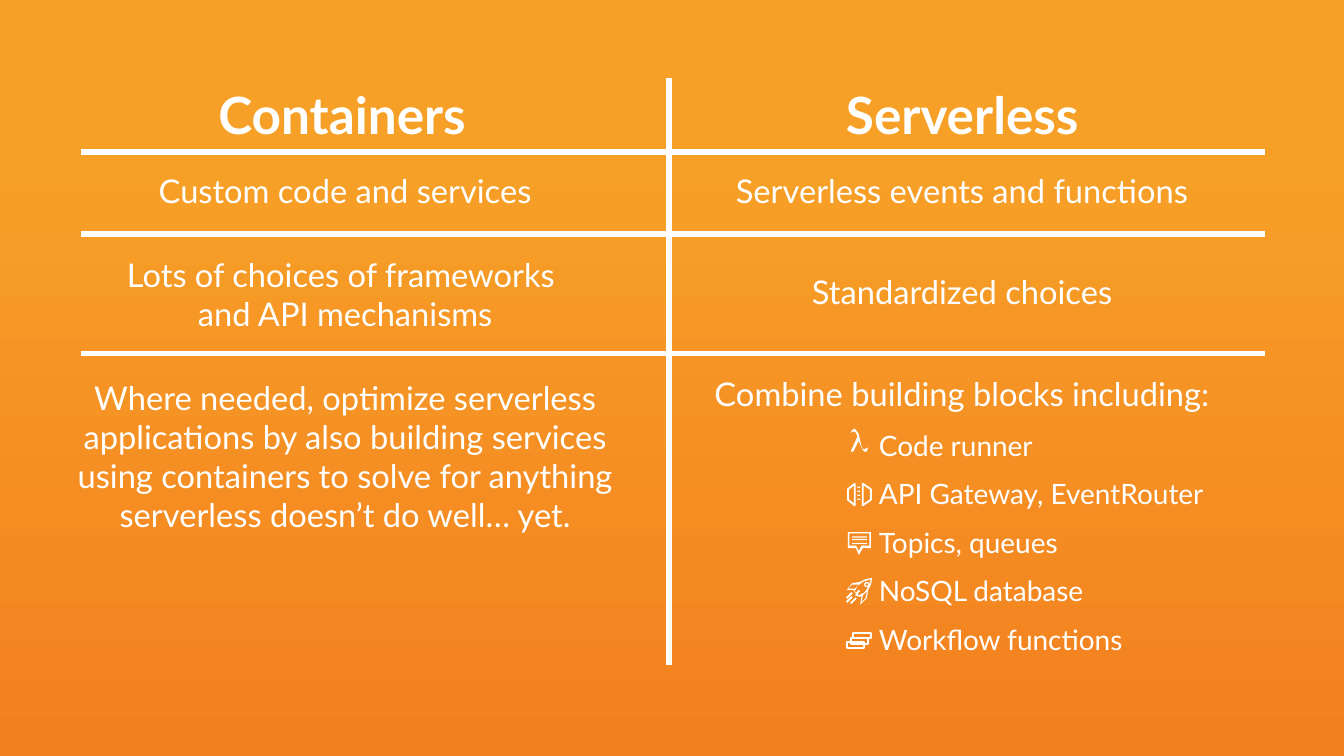
from dataclasses import dataclass

from lxml.etree import SubElement
from pptx import Presentation
from pptx.dml.color import RGBColor
from pptx.enum.shapes import MSO_CONNECTOR as Connector, MSO_SHAPE as Shape
from pptx.enum.text import MSO_AUTO_SIZE as AutoSize, PP_ALIGN as Align
from pptx.oxml.ns import qn
from pptx.util import Inches, Pt


@dataclass(frozen=True)
class Theme:
    font: str = "Lato"
    white: RGBColor = RGBColor(0xFF, 0xFF, 0xFF)
    top: RGBColor = RGBColor(0xF7, 0xA0, 0x28)
    bottom: RGBColor = RGBColor(0xF3, 0x80, 0x1F)
    heading: float = 27.5
    body: float = 17.5
    item: float = 15
    rule: float = 3
    icon_line: float = 1


THEME = Theme()

# Column text: (wording, space before in points)
CONTAINERS = [
    ("Custom code and services", 0),
    ("Lots of choices of frameworks \vand API mechanisms", 24),
    ("Where needed, optimize serverless applications by also building "
     "services using containers to solve for anything serverless "
     "doesn’t do well… yet.", 24),
]
SERVERLESS = [
    ("Serverless events and functions", 0),
    ("Standardized choices", 33),
    ("Combine building blocks including:", 34),
]
BUILDING_BLOCKS = [
    "Code runner",
    "API Gateway, EventRouter",
    "Topics, queues",
    "NoSQL database",
    "Workflow functions",
]

# Icon outlines, in hundredths of an inch on the page
LAMBDA = [[(638, 325), (637, 322), (635, 321), (633, 322), (634, 320),
           (636, 319), (637, 320), (639, 323), (641, 332), (642, 334),
           (644, 334), (646, 333), (645, 336), (643, 336), (641, 333),
           (639, 328), (635, 336), (633, 336)]]
SPEECH_BUBBLE = [
    [(639, 413), (637, 408), (631, 408), (631, 396), (648, 396),
     (648, 408), (642, 408)],
    [(632, 406), (637, 406), (639, 410), (641, 406), (647, 406),
     (647, 397), (632, 397)],
]
ROCKET = [
    [(649, 430), (644, 431), (640, 433), (634, 434), (630, 439),
     (635, 439), (637, 442), (636, 443), (639, 444), (641, 444),
     (640, 450), (645, 445), (646, 439), (648, 435)],
    [(636, 438), (631, 438), (634, 435), (639, 435)],
    [(638, 442), (640, 440), (639, 439), (637, 441), (636, 440),
     (638, 436), (642, 433), (648, 431), (646, 437), (643, 441), (639, 443)],
    [(644, 445), (641, 448), (642, 443), (645, 440)],
]
GATE_LEFT = [[(636, 360), (636, 376), (631, 372), (631, 364)]]
GATE_RIGHT = [[(642, 360), (642, 376), (648, 372), (648, 364)]]


def paint_background(page):
    fill = page.background.fill
    fill.gradient()
    fill.gradient_angle = 270
    stops = ((0.2, THEME.top), (1, THEME.bottom))
    for stop, (position, color) in zip(fill.gradient_stops, stops):
        stop.position = position
        stop.color.rgb = color


def add_line(page, start, end, width=THEME.rule):
    line = page.shapes.add_connector(
        Connector.STRAIGHT, *map(Inches, (*start, *end)))
    line.line.color.rgb = THEME.white
    line.line.width = Pt(width)
    SubElement(line.element.spPr, qn("a:effectLst"))


def style_icon(shape, outlined):
    shape.shadow.inherit = False
    if outlined:
        shape.fill.background()
        shape.line.color.rgb = THEME.white
        shape.line.width = Pt(THEME.icon_line)
    else:
        shape.fill.solid()
        shape.fill.fore_color.rgb = THEME.white
        shape.line.fill.background()


def add_preset(page, kind, left, top, width, height, outlined=False):
    shape = page.shapes.add_shape(
        kind, *map(Inches, (left, top, width, height)))
    style_icon(shape, outlined)


def add_outline(page, contours, outlined=False):
    first, *others = contours
    builder = page.shapes.build_freeform(*first[0], scale=Inches(0.01))
    builder.add_line_segments(first[1:], close=True)
    for contour in others:
        builder.move_to(*contour[0])
        builder.add_line_segments(contour[1:], close=True)
    style_icon(builder.convert_to_shape(), outlined)


def add_box(page, left, top, width, height, **frame_format):
    box = page.shapes.add_textbox(*map(Inches, (left, top, width, height)))
    for name, value in frame_format.items():
        setattr(box.text_frame, name, value)
    return box.text_frame


def write(para, wording, size, bold=False, before=0, align=Align.CENTER):
    para.text = wording
    para.alignment = align
    para.space_before = Pt(before)
    for span in para.runs:
        span.font.color.rgb = THEME.white
        font_format = {"name": THEME.font, "size": Pt(size), "bold": bold}
        for name, value in font_format.items():
            setattr(span.font, name, value)


def add_heading(page, wording, left, width):
    frame = add_box(page, left, 0.57, width, 0.56,
                    word_wrap=False, auto_size=AutoSize.SHAPE_TO_FIT_TEXT)
    write(frame.paragraphs[0], wording, THEME.heading, bold=True)


def add_column(page, left, rows, items=()):
    side, edge = Inches(0.06), Inches(0.03)
    frame = add_box(page, left, 1.24, 4.36, 3.48, word_wrap=True,
                    margin_left=side, margin_right=side,
                    margin_top=edge, margin_bottom=edge)
    for index, (wording, before) in enumerate(rows):
        para = frame.add_paragraph() if index else frame.paragraphs[0]
        write(para, wording, THEME.body, before=before)
    for wording in items:
        para = frame.add_paragraph()
        indent = para._p.get_or_add_pPr()
        indent.set("marL", str(Inches(1.5)))
        indent.set("indent", "0")
        write(para, wording, THEME.item, before=8, align=Align.LEFT)


def add_icons(page):
    add_outline(page, LAMBDA)

    # Gateway: two doors with four marks between them
    for door in (GATE_LEFT, GATE_RIGHT):
        add_outline(page, door, outlined=True)
    for row in range(4):
        add_preset(page, Shape.RECTANGLE, 6.38, 3.62 + 0.03 * row, 0.02, 0.01)

    # Messages: speech bubble with three lines of writing
    add_outline(page, SPEECH_BUBBLE)
    for top in (3.99, 4.01, 4.04):
        add_preset(page, Shape.RECTANGLE, 6.34, top, 0.11, 0.01)

    # Database: rocket, window and three trails
    add_outline(page, ROCKET)
    add_preset(page, Shape.DONUT, 6.43, 4.33, 0.04, 0.04)
    for left, bottom in ((6.3, 4.45), (6.3, 4.48), (6.33, 4.49)):
        add_line(page, (left, bottom), (left + 0.04, bottom - 0.04),
                 THEME.icon_line)

    # Workflow: three stacked steps
    for left, top in ((6.3, 4.78), (6.33, 4.75), (6.35, 4.71)):
        add_preset(page, Shape.RECTANGLE, left, top, 0.13, 0.04, outlined=True)


def main():
    deck = Presentation()
    deck.slide_width, deck.slide_height = Inches(10), Inches(5.625)
    page = deck.slides.add_slide(deck.slide_layouts[6])
    paint_background(page)

    # Comparison text
    add_column(page, 0.39, CONTAINERS)
    add_column(page, 4.98, SERVERLESS, BUILDING_BLOCKS)

    # Grid rules
    for height in (1.13, 1.74, 2.63):
        add_line(page, (0.6, height), (9.41, height))
    add_line(page, (4.98, 0.58), (4.98, 4.95))

    add_icons(page)
    add_heading(page, "Containers", 1.47, 2.15)
    add_heading(page, "Serverless", 6.14, 2.04)
    deck.save("out.pptx")


if __name__ == "__main__":
    main()
